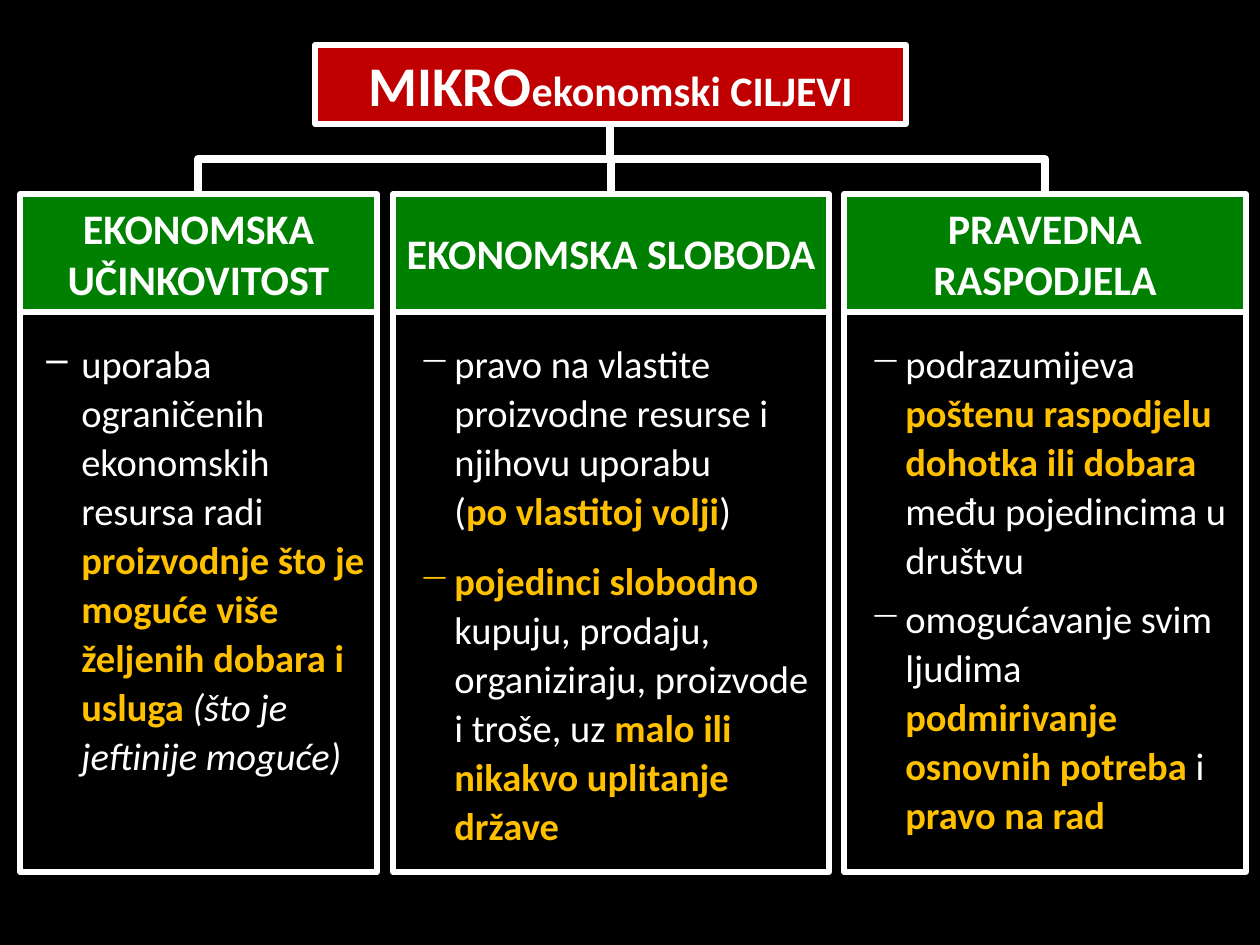
"""Build the slide on microeconomic goals as a three-branch chart."""
from lxml import etree
from pptx import Presentation
from pptx import util as u
from pptx.dml.color import RGBColor
from pptx.enum import shapes, text
from pptx.oxml.ns import qn

PX = 914400 / 126
COLORS = {"back": "000000", "white": "FFFFFF", "title": "C00000", "head": "008000", "accent": "FFC000"}
TITLE = (315, 45, 591, 79)
HEAD_TOP, HEAD_HEIGHT = 194, 118
BODY_TOP, BODY_HEIGHT = 312, 560

goals = [
    (20, 357, "EKONOMSKA UČINKOVITOST", "–", 0, [
        [("uporaba ograničenih ekonomskih resursa radi ", ""),
         ("proizvodnje što je moguće više željenih dobara i usluga ", "b"),
         ("(što je jeftinije moguće)", "i")],
    ]),
    (393, 436, "EKONOMSKA SLOBODA", "−", 12, [
        [("pravo na vlastite proizvodne resurse i njihovu uporabu ", ""), ("\n", ""),
         ("(", ""), ("po vlastitoj volji", "b"), (")", "")],
        [("pojedinci slobodno ", "b"),
         ("kupuju, prodaju, organiziraju, proizvode i troše, uz ", ""),
         ("malo ili nikakvo uplitanje države", "b")],
    ]),
    (844, 402, "PRAVEDNA RASPODJELA", "−", 6, [
        [("podrazumijeva ", ""), ("poštenu raspodjelu dohotka ili dobara ", "b"),
         ("među pojedincima u društvu", "")],
        [("omogućavanje svim ljudima ", ""), ("podmirivanje osnovnih potreba ", "b"),
         ("i ", ""), ("pravo na rad", "b")],
    ]),
]


def px(n):
    return u.Emu(round(n * PX))


def add_box(box, fill=None):
    shape = slide.shapes.add_shape(shapes.MSO_SHAPE.RECTANGLE, *map(px, box))
    shape.shadow.inherit = False
    if fill:
        shape.fill.solid()
        shape.fill.fore_color.rgb = RGBColor.from_string(COLORS[fill])
    else:
        shape.fill.background()
    shape.line.color.rgb = RGBColor.from_string(COLORS["white"])
    shape.line.width = u.Pt(3)
    frame = shape.text_frame
    frame.word_wrap = True
    frame.vertical_anchor = text.MSO_ANCHOR.MIDDLE if fill else text.MSO_ANCHOR.TOP
    return frame


prs = Presentation()
prs.slide_width, prs.slide_height = px(1260), px(945)
slide = prs.slides.add_slide(prs.slide_layouts[6])
slide.background.fill.solid()
slide.background.fill.fore_color.rgb = RGBColor.from_string(COLORS["back"])

headings = [(TITLE, "title", [("MIKRO", 32), ("ekonomski CILJEVI", 24)])]
headings += [((left, HEAD_TOP, width, HEAD_HEIGHT), "head", [(name, 24)])
             for left, width, name, *_ in goals]
for box, fill, parts in headings:
    heading = add_box(box, fill).paragraphs[0]
    heading.alignment = text.PP_ALIGN.CENTER
    heading.font.name, heading.font.bold = "Calibri", True
    heading.font.color.rgb = RGBColor.from_string(COLORS["white"])
    for words, size in parts:
        run = heading.add_run()
        run.text, run.font.size = words, u.Pt(size)

for left, width, name, dash, gap, points in goals:
    body = add_box((left, BODY_TOP, width, BODY_HEIGHT))
    body.margin_top = px(25)
    for i, parts in enumerate(points):
        point = body.add_paragraph() if i else body.paragraphs[0]
        point.alignment = text.PP_ALIGN.LEFT
        point.line_spacing = u.Pt(28)
        if i:
            point.space_before = u.Pt(gap)
        props = point._p.get_or_add_pPr()
        props.set("marL", str(px(49)))
        props.set("indent", str(px(-35)))
        etree.SubElement(props, qn("a:buChar")).set("char", dash)
        point.font.name, point.font.size = "Calibri", u.Pt(22)
        for words, style in parts:
            if words == "\n":
                point.add_line_break()
                continue
            run = point.add_run()
            run.text = words
            run.font.color.rgb = RGBColor.from_string(COLORS["accent" if style == "b" else "white"])
            if style:
                run.font.bold, run.font.italic = style == "b", style == "i"

start_x, start_y = TITLE[0] + TITLE[2] // 2, TITLE[1] + TITLE[3]
drop = HEAD_TOP - start_y
for left, width, *_ in goals:
    end_x = left + width // 2
    run_x = abs(end_x - start_x)
    near, far = (start_x + end_x - drop) / 2, (start_x + end_x + drop) / 2
    top = (start_y + HEAD_TOP - run_x) / 2
    leftward = end_x < start_x
    begin, end = (near, far) if leftward else (far, near)
    branch = slide.shapes.add_connector(shapes.MSO_CONNECTOR.ELBOW, px(begin), px(top), px(end), px(top + run_x))
    branch._element.spPr.find(qn("a:xfrm")).set("rot", str((90 if leftward else 270) * 60000))
    branch.line.color.rgb = RGBColor.from_string(COLORS["white"])
    branch.line.width = u.Pt(4.5)
    etree.SubElement(branch._element.spPr, qn("a:effectLst"))

prs.save("out.pptx")
